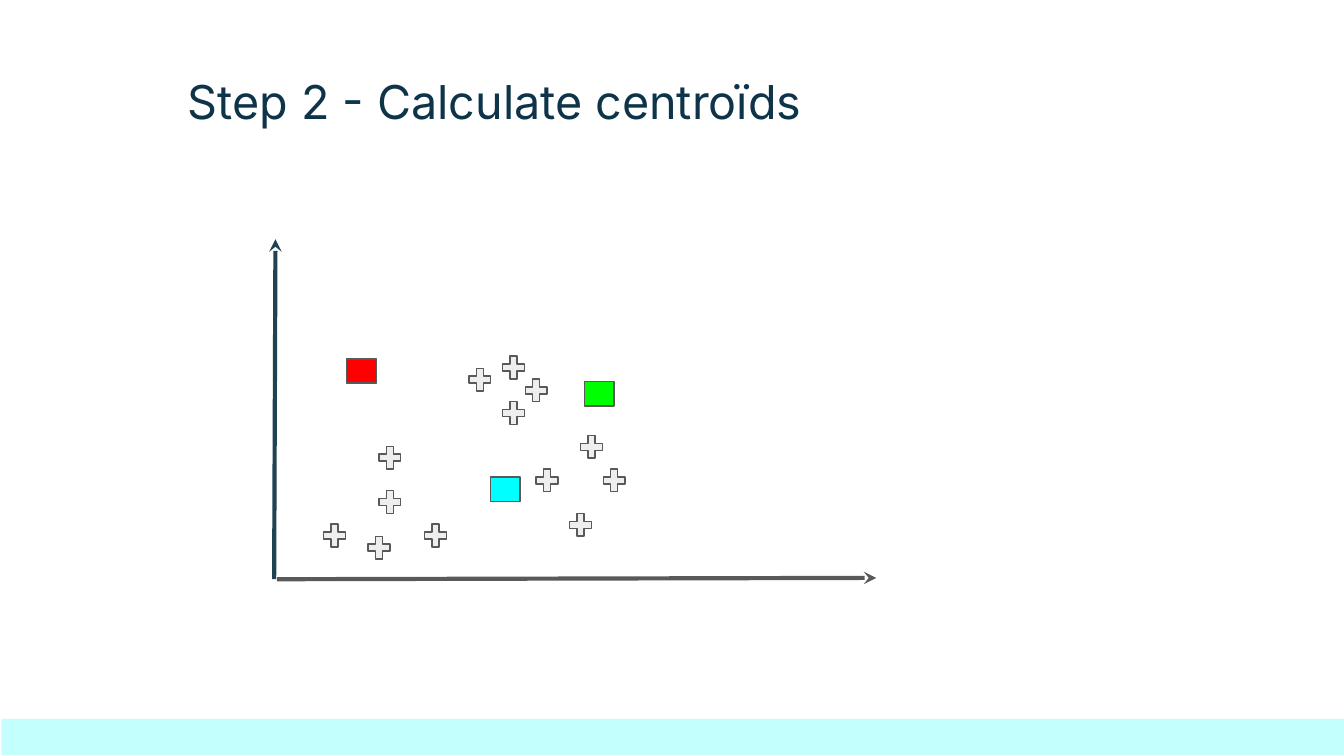
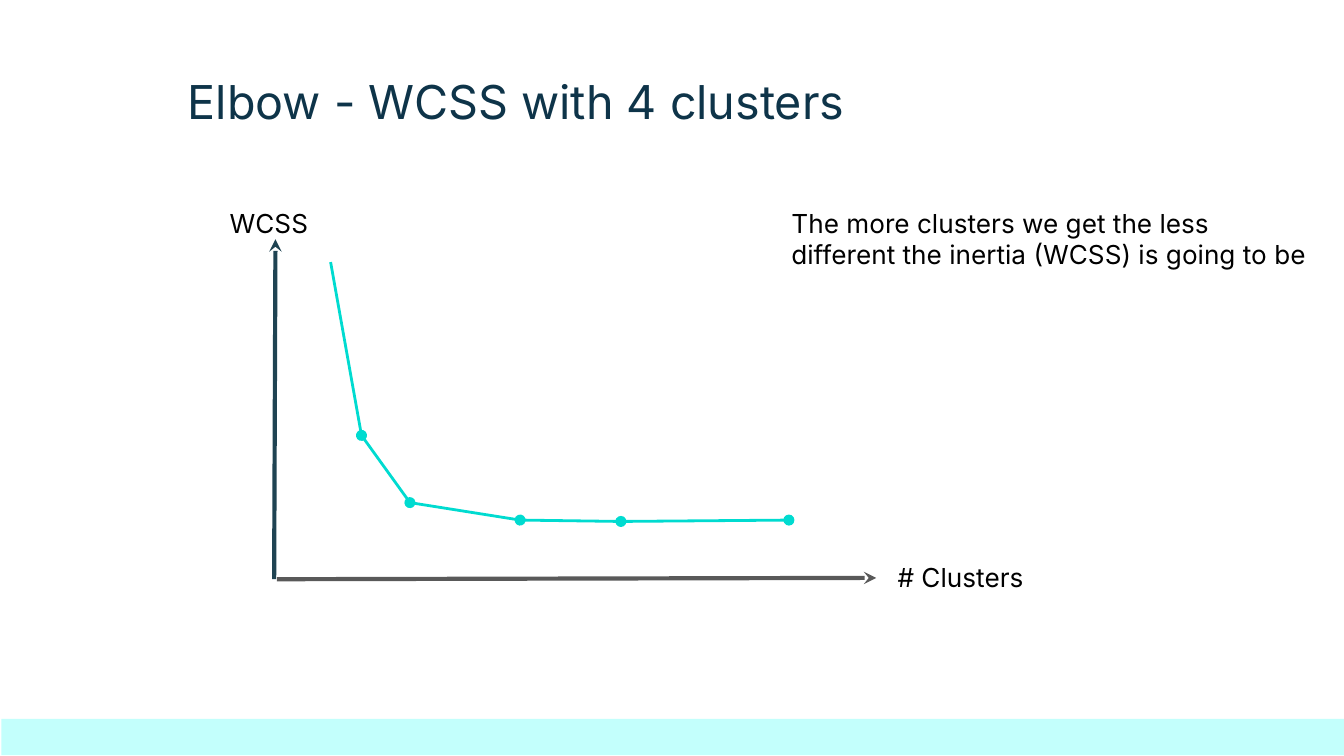
from dataclasses import dataclass
from itertools import pairwise

from lxml.etree import SubElement
from pptx import Presentation
from pptx.dml.color import RGBColor
from pptx.enum.shapes import MSO_CONNECTOR, MSO_SHAPE
from pptx.oxml.ns import qn
from pptx.util import Inches, Pt


@dataclass(frozen=True)
class Theme:
    font: str = "Inter"
    title: str = "0E3449"
    text: str = "000000"
    band: str = "C3FFFC"
    rise: str = "1F4352"
    gray: str = "595959"
    plus: str = "EEEEEE"
    curve: str = "00DBD0"
    head: int = 25
    body: int = 14
    axis: float = 2.25
    trend: float = 1.5
    thin: float = 0.75


THEME = Theme()
WIDTH = 10

STEP = "Step 2 - Calculate centroïds"
POINTS = [
    (2.38, 3.87), (2.71, 3.96), (2.79, 3.62), (3.13, 3.87), (2.79, 3.29),
    (4.46, 3.46), (4.21, 3.79), (3.96, 3.46), (4.29, 3.21),
    (3.46, 2.71), (3.71, 2.96), (3.71, 2.62), (3.88, 2.79),
]
CENTERS = [
    (2.58, 2.67, "FF0000"),
    (3.65, 3.55, "00FFFF"),
    (4.35, 2.84, "00FF00"),
]

ELBOW = "Elbow - WCSS with 4 clusters"
LABELS = [
    ("The more clusters we get the less different the inertia (WCSS) "
     "is going to be", (5.79, 1.44, 4.12, 0.58)),
    ("WCSS", (1.61, 1.44, 1.08, 0.28)),
    ("# Clusters", (6.58, 4.08, 1.59, 0.28)),
]
CURVE = [(2.46, 1.95), (2.69, 3.24), (3.05, 3.74),
         (3.87, 3.87), (4.62, 3.88), (5.87, 3.87)]


def color(code):
    return RGBColor.from_string(code)


def add_text(slide, text, box, size, ink):
    frame = slide.shapes.add_textbox(*map(Inches, box)).text_frame
    frame.word_wrap = True
    frame.margin_left = frame.margin_right = Inches(0.1)
    frame.margin_top = frame.margin_bottom = Inches(0.1)
    frame.text = text
    font = frame.paragraphs[0].runs[0].font
    font.name, font.size = THEME.font, Pt(size)
    font.color.rgb = color(ink)


def add_mark(slide, kind, box, fill, edge=None):
    mark = slide.shapes.add_shape(kind, *map(Inches, box))
    mark.shadow.inherit = False
    mark.fill.solid()
    mark.fill.fore_color.rgb = color(fill)
    if edge:
        mark.line.color.rgb = color(edge)
        mark.line.width = Pt(THEME.thin)
    else:
        mark.line.fill.background()
    return mark


def add_line(slide, start, end, ink, width, tip):
    """Draw a line with the given tip at its end."""
    line = slide.shapes.add_connector(
        MSO_CONNECTOR.STRAIGHT, *map(Inches, (*start, *end)))
    line.line.color.rgb = color(ink)
    line.line.width = Pt(width)
    props = line.element.spPr
    SubElement(props.find(qn("a:ln")), qn("a:tailEnd"), type=tip)
    SubElement(props, qn("a:effectLst"))


def add_base(deck, title):
    """Add a slide with the title, bottom band and axes."""
    slide = deck.slides.add_slide(deck.slide_layouts[6])
    add_text(slide, title, (1.3, 0.44, 5.81, 0.58), THEME.head, THEME.title)
    add_mark(slide, MSO_SHAPE.RECTANGLE, (0.01, 5.35, WIDTH, 0.27), THEME.band)
    add_line(slide, (2.04, 4.31), (2.05, 1.78), THEME.rise, THEME.axis, "stealth")
    add_line(slide, (2.06, 4.31), (6.52, 4.3), THEME.gray, THEME.axis, "stealth")
    return slide


def add_step(deck):
    slide = add_base(deck, STEP)
    for x, y in POINTS:
        plus = add_mark(slide, MSO_SHAPE.MATH_PLUS, (x, y, 0.22, 0.23),
                        THEME.plus, THEME.gray)
        plus.adjustments[0] = 0.235
    for x, y, fill in CENTERS:
        add_mark(slide, MSO_SHAPE.RECTANGLE, (x, y, 0.22, 0.18),
                 fill, THEME.gray)


def add_elbow(deck):
    slide = add_base(deck, ELBOW)
    for text, box in LABELS:
        add_text(slide, text, box, THEME.body, THEME.text)
    for start, end in pairwise(CURVE):
        add_line(slide, start, end, THEME.curve, THEME.trend, "oval")


def main():
    deck = Presentation()
    deck.slide_width = Inches(WIDTH)
    deck.slide_height = Inches(WIDTH) * 9 // 16
    add_step(deck)
    add_elbow(deck)
    deck.save("out.pptx")


if __name__ == "__main__":
    main()
